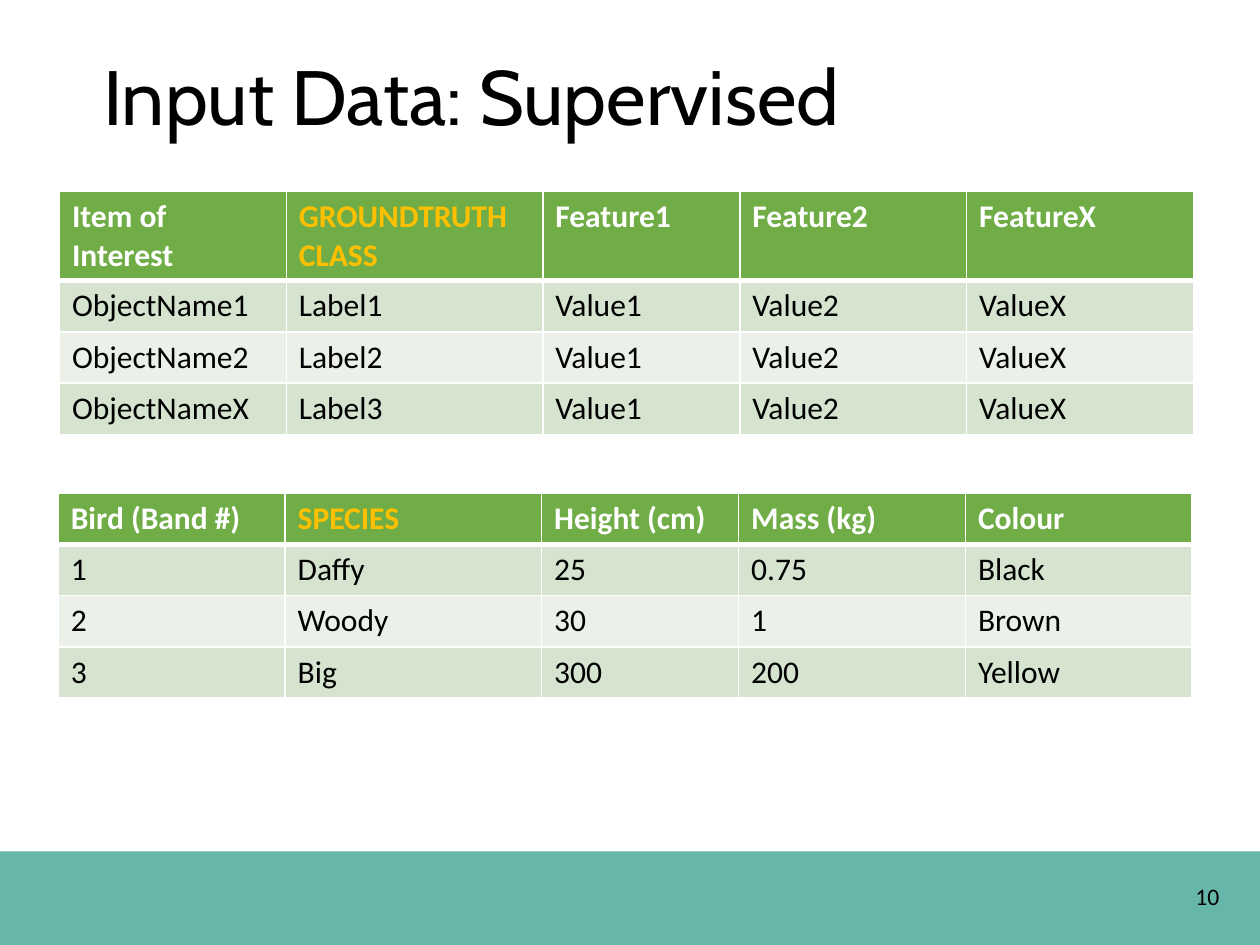
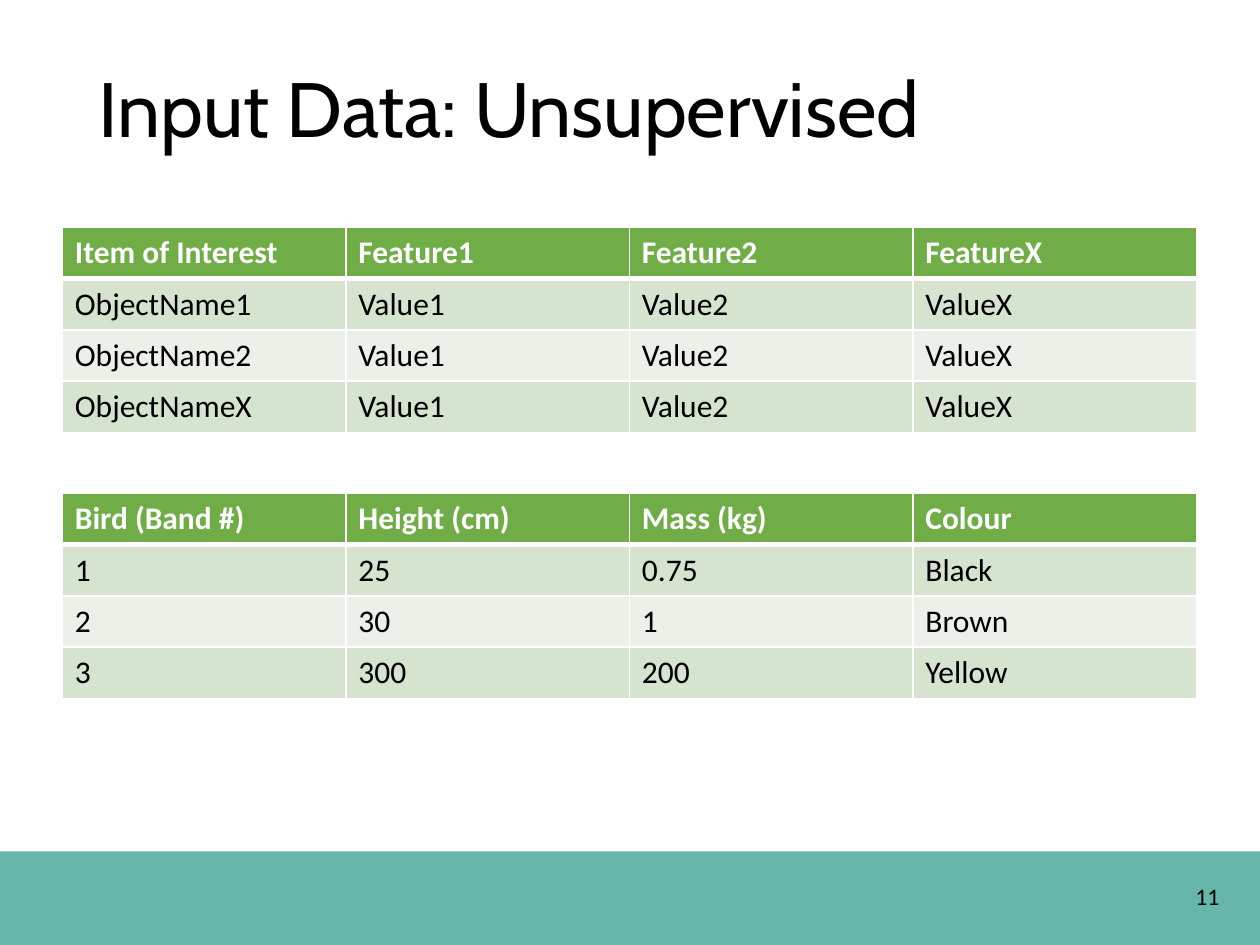
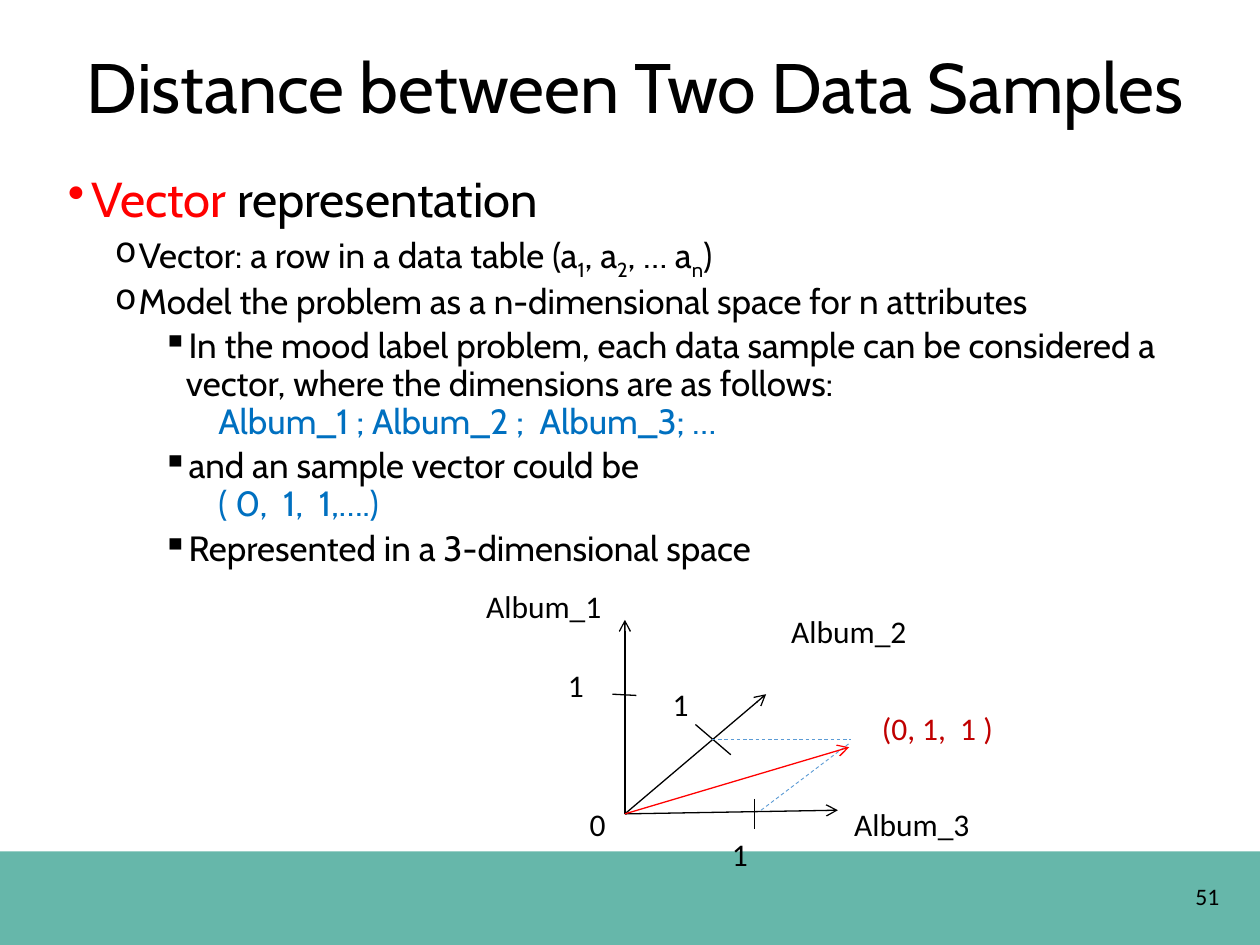
"""Build three slides on input data and vector distance."""
from lxml import etree
from pptx import Presentation
from pptx.dml.color import RGBColor
from pptx.enum.dml import MSO_LINE
from pptx.enum.shapes import MSO_CONNECTOR, MSO_SHAPE
from pptx.enum.text import MSO_ANCHOR
from pptx.oxml.ns import qn
from pptx.util import Pt

DASH = MSO_LINE.DASH
LINE = MSO_CONNECTOR.STRAIGHT
RECT = MSO_SHAPE.RECTANGLE
MIDDLE = MSO_ANCHOR.MIDDLE
TOP = MSO_ANCHOR.TOP

HUES = {
    "black": "000000", "white": "FFFFFF", "teal": "319F8D", "green": "70AD47",
    "gold": "FFC000", "sage": "D5E3CF", "mist": "EBF1E9", "red": "FF0000",
    "wine": "C00000", "blue": "0070C0", "sky": "5B9BD5",
}
WIDE, HIGH = 720, 540
HEAD = {"name": "Cabin", "size": Pt(44)}
LONG = {"name": "Cabin", "size": Pt(40)}
LEAD = {"name": "Cabin", "size": Pt(28)}
BODY = {"name": "Cabin", "size": Pt(20)}
PLAIN = {"name": "Calibri", "size": Pt(18)}
BOLD = {**PLAIN, "bold": True}
SMALL = {"name": "Calibri", "size": Pt(13.5)}
TIGHT = {"line_spacing": 0.9}
NEXT = {"line_spacing": 0.9, "space_before": Pt(3.8)}

ITEMS = [
    ["Item of Interest", "GROUNDTRUTH CLASS", "Feature1", "Feature2", "FeatureX"],
    ["ObjectName1", "Label1", "Value1", "Value2", "ValueX"],
    ["ObjectName2", "Label2", "Value1", "Value2", "ValueX"],
    ["ObjectNameX", "Label3", "Value1", "Value2", "ValueX"],
]
BIRDS = [
    ["Bird (Band #)", "SPECIES", "Height (cm)", "Mass (kg)", "Colour"],
    ["1", "Daffy", "25", "0.75", "Black"],
    ["2", "Woody", "30", "1", "Brown"],
    ["3", "Big", "300", "200", "Yellow"],
]
COLS = [129.6, 146.6, 112.6, 129.6, 129.6]
EVEN = [162] * 4

POINTS = [
    ("•", 13.5, LEAD, TIGHT, [("Vector", "red"), (" representation", "black")]),
    ("o", 40.5, BODY, NEXT, [
        ("Vector: a row in a data table (a", "black"), ("1", "sub"), (", a", "black"),
        ("2", "sub"), (", … a", "black"), ("n", "sub"), (")", "black")]),
    ("o", 40.5, BODY, NEXT, [
        ("Model the problem as a n-dimensional space for n attributes", "black")]),
    ("▪", 67.5, BODY, NEXT, [
        ("In the mood label problem, each data sample can be considered a vector, "
         "where the dimensions are as follows:", "black")]),
    ("", 86, BODY, TIGHT, [("Album_1 ; Album_2 ;  Album_3; …", "blue")]),
    ("▪", 67.5, BODY, NEXT, [("and an sample vector could be", "black")]),
    ("", 86, BODY, TIGHT, [("( 0,  1,  1,….)", "blue")]),
    ("▪", 67.5, BODY, NEXT, [("Represented in a 3-dimensional space", "black")]),
]

ROOT = (357.1, 465.1)
AXES = [(478.8, 463), (357.1, 354.2), (437.8, 396.7)]
TIP = (485.3, 427)
TICKS = [
    ((349.9, 396.7), (363.6, 397.4)),
    ((397.4, 414), (417.6, 431.3)),
    ((431.3, 456.5), (431.3, 473.8)),
]
GUIDES = [((406.8, 422.6), (486, 422.6)), ((434.9, 463), (485.3, 424.8))]
LABELS = [
    ("Album_1", 270.7, 331.9, "black"), ("Album_2", 445, 346.3, "black"),
    ("Album_3", 481, 456.5, "black"), ("(0, 1,  1 )", 496.8, 401.8, "wine"),
    ("1", 411.1, 473.8, "black"), ("0", 329.8, 456.5, "black"),
    ("1", 317.5, 377.3, "black"), ("1", 377.3, 388.1, "black"),
]


def tint(hue):
    """Return the named colour."""
    return RGBColor.from_string(HUES[hue])


def put(thing, looks):
    """Set each format value on an object."""
    for name, value in looks.items():
        setattr(thing, name, value)


def paint(fill, hue):
    """Make a fill solid in the named colour."""
    fill.solid()
    fill.fore_color.rgb = tint(hue)


def add_run(para, text, font, hue):
    """Add a run of text, lowered when the hue is 'sub'."""
    run = para.add_run()
    run.text = text
    put(run.font, font)
    if hue == "sub":
        run._r.get_or_add_rPr().set("baseline", "-25000")
        hue = "black"
    run.font.color.rgb = tint(hue)


def add_box(slide, area, anchor=TOP):
    """Add a wrapping text box and return its frame."""
    frame = slide.shapes.add_textbox(*map(Pt, area)).text_frame
    put(frame, {"word_wrap": True, "vertical_anchor": anchor})
    return frame


def add_text(slide, area, text, font, hue="black", looks=None, anchor=TOP):
    """Add a single paragraph in a box."""
    para = add_box(slide, area, anchor).paragraphs[0]
    put(para, looks or {})
    add_run(para, text, font, hue)


def add_list(slide, area, points):
    """Add the bulleted points."""
    frame = add_box(slide, area)
    for row, (mark, left, font, looks, runs) in enumerate(points):
        para = frame.add_paragraph() if row else frame.paragraphs[0]
        props = para._p.get_or_add_pPr()
        props.set("marL", str(Pt(left)))
        props.set("indent", str(Pt(-13.5) if mark else 0))
        if mark:
            etree.SubElement(props, qn("a:buChar"), char=mark)
        else:
            etree.SubElement(props, qn("a:buNone"))
        put(para, looks)
        for text, hue in runs:
            add_run(para, text, font, hue)


def add_edge(cell, side, width):
    """Draw one white border of a cell."""
    edge = etree.SubElement(cell._tc.get_or_add_tcPr(), qn("a:ln" + side), w=str(Pt(width)))
    fill = etree.SubElement(edge, qn("a:solidFill"))
    etree.SubElement(fill, qn("a:srgbClr"), val=HUES["white"])


def add_grid(slide, left, top, cols, rows, first=29.3, gold=None):
    """Add a banded table, with one header in gold if asked."""
    highs = [first] + [29.3] * (len(rows) - 1)
    size = map(Pt, (left, top, sum(cols), sum(highs)))
    table = slide.shapes.add_table(len(rows), len(cols), *size).table
    put(table, {"first_row": False, "horz_banding": False})
    for col, width in zip(table.columns, cols):
        col.width = Pt(width)
    for r, (row, high) in enumerate(zip(rows, highs)):
        table.rows[r].height = Pt(high)
        for c, text in enumerate(row):
            cell = table.cell(r, c)
            for side in "LRTB":
                add_edge(cell, side, 3 if (r, side) in ((0, "B"), (1, "T")) else 1)
            paint(cell.fill, ("mist", "sage")[r % 2] if r else "green")
            hue = "black" if r else "gold" if c == gold else "white"
            add_run(cell.text_frame.paragraphs[0], text, PLAIN if r else BOLD, hue)


def add_line(slide, start, end, hue="black", width=0.75, arrow=False, dash=None):
    """Add a line, with an arrowhead or dashes if asked."""
    line = slide.shapes.add_connector(LINE, *map(Pt, start + end))
    put(line.line, {"width": Pt(width), "dash_style": dash})
    line.line.color.rgb = tint(hue)
    if arrow:
        etree.SubElement(line.line._get_or_add_ln(), qn("a:tailEnd"), type="arrow")
    etree.SubElement(line._element.spPr, qn("a:effectLst"))


def add_slide(deck, title, area, number, font=HEAD):
    """Add a slide with its band, title and number."""
    slide = deck.slides.add_slide(deck.slide_layouts[6])
    band = slide.shapes.add_shape(RECT, 0, Pt(486.5), Pt(WIDE), Pt(HIGH - 486.5))
    band.shadow.inherit = False
    paint(band.fill, "teal")
    shade = band._element.spPr.find(".//" + qn("a:srgbClr"))
    etree.SubElement(shade, qn("a:alpha"), val="74000")
    band.line.fill.background()
    add_text(slide, area, title, font, looks=TIGHT, anchor=MIDDLE)
    add_text(slide, (676, 500.4, 44, 28.8), str(number), SMALL)
    return slide


def add_graph(slide):
    """Draw the three axes and the sample vector."""
    for end in AXES:
        add_line(slide, ROOT, end, arrow=True)
    for start, end in TICKS:
        add_line(slide, start, end)
    for start, end in GUIDES:
        add_line(slide, start, end, "sky", 0.5, dash=DASH)
    add_line(slide, ROOT, TIP, "red", arrow=True)
    for text, left, top, hue in LABELS:
        add_text(slide, (left, top, 98 if len(text) > 1 else 30, 30), text, PLAIN, hue)


def main():
    """Build and save the deck."""
    deck = Presentation()
    put(deck, {"slide_width": Pt(WIDE), "slide_height": Pt(HIGH)})

    slide = add_slide(deck, "Input Data: Supervised", (51.8, 5, 620.6, 104.4), 10)
    add_grid(slide, 34, 109.5, COLS, ITEMS, first=50.8, gold=1)
    add_grid(slide, 33.3, 281.8, COLS, BIRDS, gold=1)

    slide = add_slide(deck, "Input Data: Unsupervised", (49, 12.2, 620.6, 104.4), 11)
    for top, rows in ((130, ITEMS), (282, BIRDS)):
        add_grid(slide, 35.6, top, EVEN, [row[:1] + row[2:] for row in rows])

    slide = add_slide(deck, "Distance between Two Data Samples",
                      (42.5, 28.1, 671.8, 48.2), 51, LONG)
    add_list(slide, (31.7, 96.5, 666, 367.2), POINTS)
    add_graph(slide)
    deck.save("out.pptx")


if __name__ == "__main__":
    main()
